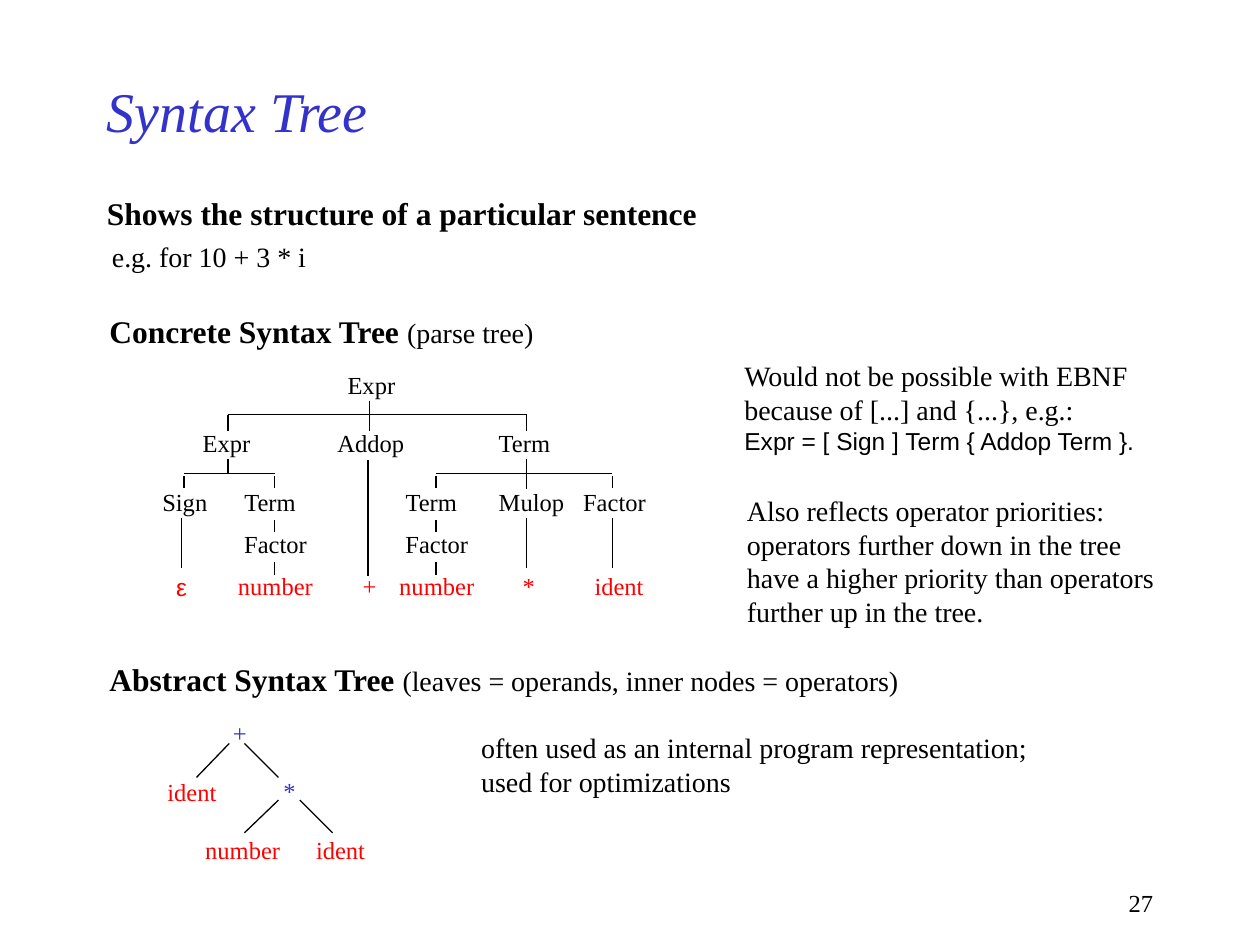
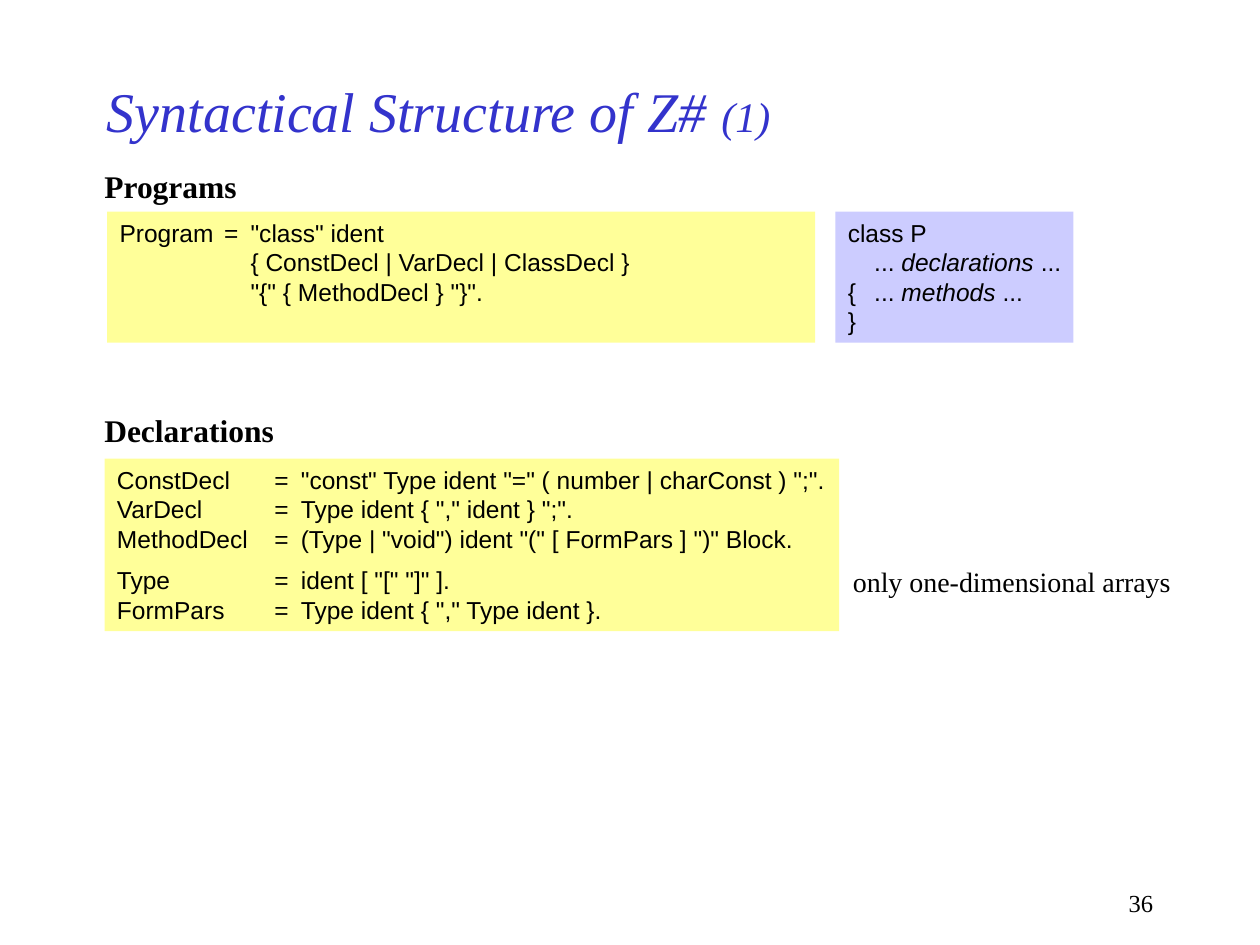
from dataclasses import dataclass
from typing import NamedTuple

from lxml import etree
from pptx import Presentation
from pptx.dml.color import RGBColor
from pptx.enum.shapes import MSO_CONNECTOR, MSO_SHAPE
from pptx.enum.text import MSO_ANCHOR, PP_ALIGN
from pptx.oxml.ns import qn
from pptx.util import Inches, Pt

STRAIGHT = MSO_CONNECTOR.STRAIGHT
RECTANGLE = MSO_SHAPE.RECTANGLE
TOP, MIDDLE = MSO_ANCHOR.TOP, MSO_ANCHOR.MIDDLE
LEFT, RIGHT = PP_ALIGN.LEFT, PP_ALIGN.RIGHT

SERIF, SANS = "Times New Roman", "Arial"
BLACK, BLUE, RED = "000000", "3333CC", "FF0000"
GRAMMAR_FILL, EXAMPLE_FILL = "FFFF99", "CCCCFF"
HEADING_SIZE, BODY_SIZE, SMALL_SIZE = 18, 16, 14

LABEL_HEIGHT = 0.34
LABEL_WIDTHS = {"Expr": 0.58, "Addop": 0.73, "Term": 0.62, "Sign": 0.56,
                "Mulop": 0.72, "Factor": 0.7, "number": 0.79, "ident": 0.59,
                "+": 0.31, "*": 0.3, "ε": 0.28}


class Run(NamedTuple):
    text: str
    size: float | None = None
    bold: bool | None = None
    italic: bool | None = None
    font: str | None = None


class Box(NamedTuple):
    left: float
    top: float
    width: float
    height: float

    def lengths(self):
        return [Inches(value) for value in self]


class Label(NamedTuple):
    text: str
    left: float
    top: float
    color: str = BLACK
    font: str = SERIF


class Line(NamedTuple):
    start_x: float
    start_y: float
    end_x: float
    end_y: float


@dataclass
class Branch:
    """A horizontal bar with a stem from the parent and ticks to the outer children."""
    bar: float
    left: float
    right: float
    tick_top: float
    tick_bottom: float
    stem: float
    stem_top: float
    stem_bottom: float

    def lines(self) -> list[Line]:
        ticks = [Line(x, self.tick_top, x, self.tick_bottom)
                 for x in (self.left, self.right)]
        return [Line(self.left, self.bar, self.right, self.bar),
                Line(self.stem, self.stem_top, self.stem, self.stem_bottom), *ticks]


@dataclass
class Panel:
    box: Box
    fill: str
    tabs: tuple
    paragraphs: list


EXPR_ROW, OPERATOR_ROW, TERM_ROW, FACTOR_ROW, LEAF_ROW = 2.89, 3.35, 3.82, 4.15, 4.48

CONCRETE_LABELS = [
    Label("Expr", 2.66, EXPR_ROW),
    Label("Expr", 1.51, OPERATOR_ROW),
    Label("Addop", 2.58, OPERATOR_ROW),
    Label("Term", 3.86, OPERATOR_ROW),
    Label("Sign", 1.19, TERM_ROW),
    Label("Term", 1.84, TERM_ROW),
    Label("Term", 3.12, TERM_ROW),
    Label("Mulop", 3.86, TERM_ROW),
    Label("Factor", 4.53, TERM_ROW),
    Label("Factor", 1.84, FACTOR_ROW),
    Label("Factor", 3.12, FACTOR_ROW),
    Label("ε", 1.3, LEAF_ROW + 0.01, RED, SANS),
    Label("number", 1.79, LEAF_ROW, RED),
    Label("+", 2.78, LEAF_ROW, RED),
    Label("number", 3.07, LEAF_ROW, RED),
    Label("*", 4.05, LEAF_ROW, RED),
    Label("ident", 4.62, LEAF_ROW, RED),
]
BRANCHES = [
    Branch(3.29, 1.81, 4.18, 3.29, 3.42, 2.93, 3.18, 3.42),
    Branch(3.76, 1.46, 2.18, 3.78, 3.87, 1.81, 3.64, 3.76),
    Branch(3.76, 3.46, 4.86, 3.78, 3.87, 4.18, 3.64, 3.88),
]
CHAIN_LINES = [Line(x, top, x, bottom)
               for x in (2.18, 3.46) for top, bottom in ((4.13, 4.22), (4.46, 4.56))]
LEAF_LINES = [Line(x, 4.11, x, 4.51) for x in (1.44, 4.18, 4.86)]
ADDOP_LINE = Line(2.92, 3.65, 2.92, 4.57)

ABSTRACT_LABELS = [
    Label("+", 1.75, 5.65, BLUE),
    Label("ident", 1.23, 6.12, RED),
    Label("*", 2.15, 6.11, BLUE),
    Label("number", 1.53, 6.58, RED),
    Label("ident", 2.41, 6.58, RED),
]
ABSTRACT_LINES = [
    Line(1.82, 5.9, 1.56, 6.17), Line(1.94, 5.9, 2.21, 6.17),
    Line(2.21, 6.35, 1.94, 6.61), Line(2.38, 6.35, 2.64, 6.61),
]

PROGRAM_PANEL = Panel(Box(0.85, 1.68, 5.62, 1.04), GRAMMAR_FILL, (0.83, 1.04), [
    'Program\t=\t"class" ident',
    "\t\t{ ConstDecl | VarDecl | ClassDecl }",
    '\t\t"{" { MethodDecl } "}".',
])
EXAMPLE_PANEL = Panel(Box(6.63, 1.68, 1.89, 1.04), EXAMPLE_FILL, (0.21,), [
    "class P",
    [Run("\t... "), Run("declarations", italic=True), Run(" ...")],
    [Run("{\t... "), Run("methods", italic=True), Run(" ...")],
    "}",
])
DECLARATION_PANEL = Panel(Box(0.83, 3.64, 5.83, 1.37), GRAMMAR_FILL, (1.25, 1.46), [
    'ConstDecl\t=\t"const" Type ident "=" ( number | charConst ) ";".',
    'VarDecl\t=\tType ident { "," ident } ";".',
    'MethodDecl\t=\t(Type | "void") ident "(" [ FormPars ] ")" Block.',
    'Type\t=\tident [ "[" "]" ].',
    'FormPars\t=\tType ident { "," Type ident }.',
])


def rgb(color: str) -> RGBColor:
    return RGBColor.from_string(color)


def set_tabs(paragraph, positions) -> None:
    tab_list = etree.SubElement(paragraph._p.get_or_add_pPr(), qn("a:tabLst"))
    for position in positions:
        etree.SubElement(tab_list, qn("a:tab"), pos=str(Inches(position)), algn="l")


def write_text(frame, paragraphs, *, size=BODY_SIZE, font=SERIF, color=BLACK, bold=False,
               italic=False, align=LEFT, anchor=TOP, tabs=()) -> None:
    """Fill a text frame; each paragraph is a string or a list of runs."""
    frame.word_wrap = True
    frame.vertical_anchor = anchor
    if align == LEFT:
        frame.margin_right = 0  # leaves room so that tight boxes keep each line whole
    for index, content in enumerate(paragraphs):
        paragraph = frame.add_paragraph() if index else frame.paragraphs[0]
        paragraph.alignment = align
        if tabs:
            set_tabs(paragraph, tabs)
        for part in [Run(content)] if isinstance(content, str) else content:
            run = paragraph.add_run()
            run.text = part.text
            run.font.name = part.font or font
            run.font.size = Pt(part.size or size)
            run.font.bold = bold if part.bold is None else part.bold
            run.font.italic = italic if part.italic is None else part.italic
            run.font.color.rgb = rgb(color)


def add_text(slide, box: Box, paragraphs, **text_format) -> None:
    write_text(slide.shapes.add_textbox(*box.lengths()).text_frame, paragraphs, **text_format)


def add_heading(slide, box: Box, text: str, remark: str = "") -> None:
    runs = [Run(text)]
    if remark:
        runs.append(Run(remark, size=BODY_SIZE, bold=False))
    add_text(slide, box, [runs], size=HEADING_SIZE, bold=True)


def add_label(slide, label: Label) -> None:
    box = Box(label.left, label.top, LABEL_WIDTHS[label.text], LABEL_HEIGHT)
    add_text(slide, box, [label.text], size=SMALL_SIZE, color=label.color, font=label.font)


def add_line(slide, line: Line) -> None:
    connector = slide.shapes.add_connector(STRAIGHT, *[Inches(value) for value in line])
    connector.line.color.rgb = rgb(BLACK)
    connector.line.width = Pt(0.75)
    etree.SubElement(connector._element.spPr, qn("a:effectLst"))


def add_tree(slide, labels: list[Label], lines: list[Line]) -> None:
    for label in labels:
        add_label(slide, label)
    for line in lines:
        add_line(slide, line)


def add_panel(slide, panel: Panel):
    shape = slide.shapes.add_shape(RECTANGLE, *panel.box.lengths())
    shape.shadow.inherit = False
    shape.fill.solid()
    shape.fill.fore_color.rgb = rgb(panel.fill)
    shape.line.fill.background()
    write_text(shape.text_frame, panel.paragraphs, size=SMALL_SIZE, font=SANS,
               tabs=panel.tabs)
    return shape


def add_slide(presentation, title: list[Run], number: int):
    slide = presentation.slides.add_slide(presentation.slide_layouts[6])
    add_text(slide, Box(0.75, 0.5, 7.5, 0.75), [title], size=32, color=BLUE,
             italic=True, anchor=MIDDLE)
    add_text(slide, Box(7.17, 7, 2.08, 0.33), [str(number)], size=SMALL_SIZE, align=RIGHT)
    return slide


def build_syntax_tree(presentation) -> None:
    slide = add_slide(presentation, [Run("Syntax Tree")], 27)
    add_heading(slide, Box(0.75, 1.49, 4.89, 0.4),
                "Shows the structure of a particular sentence")
    add_text(slide, Box(0.79, 1.85, 1.74, 0.37), ["e.g. for 10 + 3 * i"])

    add_heading(slide, Box(0.77, 2.43, 3.6, 0.4), "Concrete Syntax Tree ", "(parse tree)")
    branch_lines = [line for branch in BRANCHES for line in branch.lines()]
    add_tree(slide, CONCRETE_LABELS,
             [*branch_lines, *CHAIN_LINES, *LEAF_LINES, ADDOP_LINE])
    add_text(slide, Box(5.81, 2.8, 3.36, 0.87), [
        "Would not be possible with EBNF",
        "because of [...] and {...}, e.g.:",
        [Run("Expr = [ Sign ] Term { Addop Term }.", size=SMALL_SIZE, font=SANS)],
    ])
    add_text(slide, Box(5.83, 3.87, 3.48, 1.17), [
        "Also reflects operator priorities:",
        "operators further down in the tree",
        "have a higher priority than operators",
        "further up in the tree.",
    ])

    add_heading(slide, Box(0.77, 5.19, 6.49, 0.4), "Abstract Syntax Tree ",
                "(leaves = operands, inner nodes = operators)")
    add_tree(slide, ABSTRACT_LABELS, ABSTRACT_LINES)
    add_text(slide, Box(3.72, 5.75, 4.53, 0.64), [
        "often used as an internal program representation;",
        "used for optimizations",
    ])


def build_syntactical_structure(presentation) -> None:
    title = [Run("Syntactical Structure of Z# "), Run("(1)", size=24)]
    slide = add_slide(presentation, title, 36)
    add_heading(slide, Box(0.73, 1.28, 1.25, 0.4), "Programs")
    add_panel(slide, PROGRAM_PANEL)
    add_panel(slide, EXAMPLE_PANEL)

    add_heading(slide, Box(0.73, 3.21, 1.54, 0.4), "Declarations")
    declarations = add_panel(slide, DECLARATION_PANEL)
    declarations.text_frame.paragraphs[3].space_before = Pt(7)
    add_text(slide, Box(6.67, 4.43, 2.72, 0.37), ["only one-dimensional arrays"])


def main() -> None:
    presentation = Presentation()
    presentation.slide_width = Inches(10)
    presentation.slide_height = Inches(7.5)
    build_syntax_tree(presentation)
    build_syntactical_structure(presentation)
    presentation.save("out.pptx")


if __name__ == "__main__":
    main()
